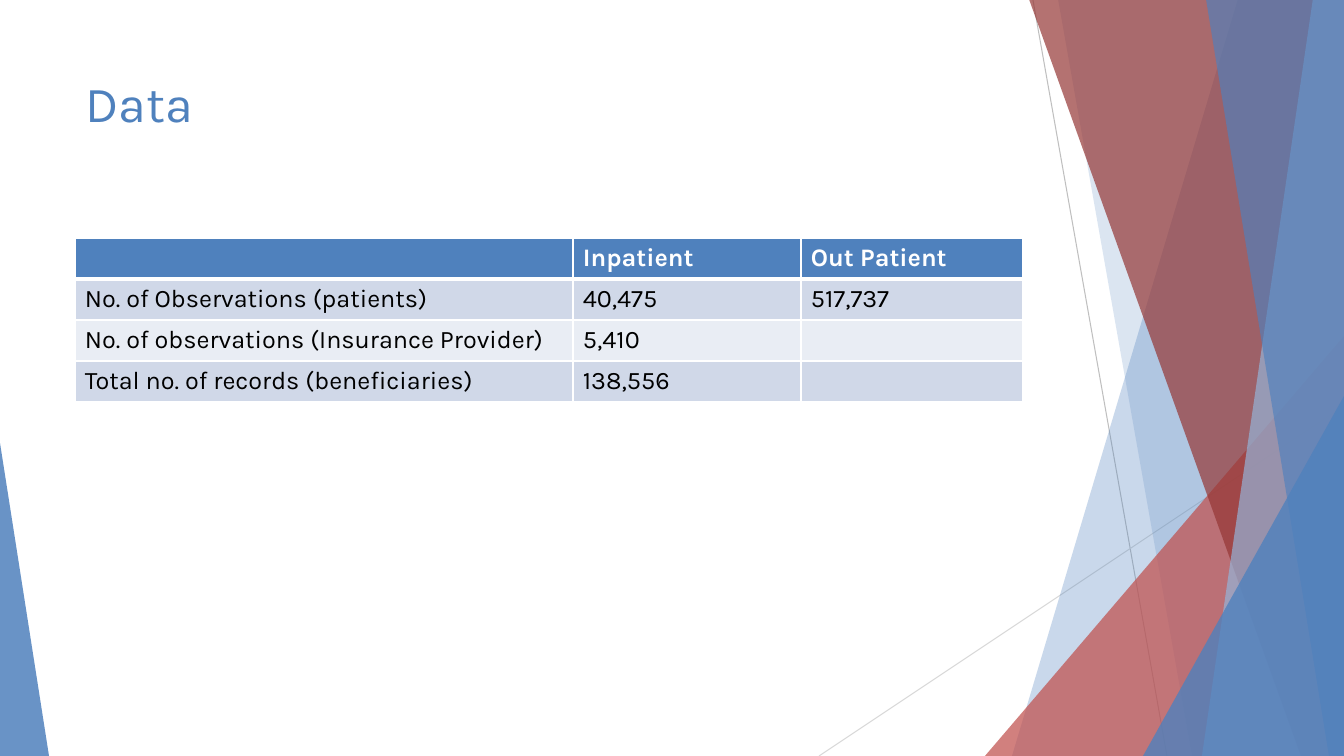
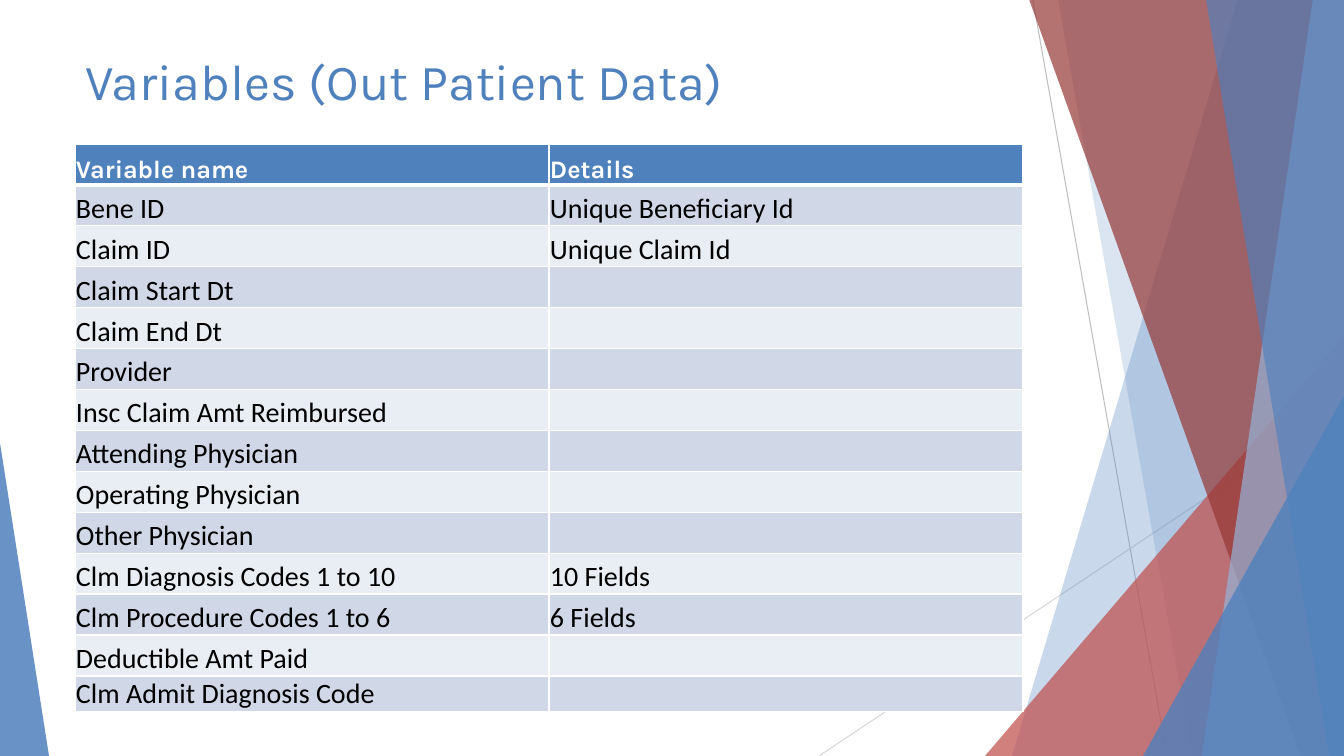
from lxml import etree
from pptx import Presentation
from pptx.dml.color import RGBColor
from pptx.enum.shapes import MSO_CONNECTOR, MSO_SHAPE
from pptx.enum.text import MSO_ANCHOR, MSO_AUTO_SIZE, PP_ALIGN
from pptx.oxml.ns import qn
from pptx.util import Pt

STRAIGHT = MSO_CONNECTOR.STRAIGHT
TRIANGLE = MSO_SHAPE.ISOSCELES_TRIANGLE
TOP, BOTTOM = MSO_ANCHOR.TOP, MSO_ANCHOR.BOTTOM
NO_FIT = MSO_AUTO_SIZE.NONE
LEFT = PP_ALIGN.LEFT

SCALE = 914400 / 100.8
WIDTH, HEIGHT = 1344, 756
TITLE_ONLY = 5
FONT = "Karla"
COLORS = {
    "blue": "4F81BD",
    "pale_blue": "95B3D7",
    "red": "C0504D",
    "dark_red": "953735",
    "gray": "BFBFBF",
    "light_gray": "D9D9D9",
    "band_dark": "D0D8E8",
    "band_light": "E9EDF4",
    "white": "FFFFFF",
    "black": "000000",
}


def px(length):
    return round(length * SCALE)


def color(name):
    return RGBColor.from_string(COLORS[name])


def set_font(para, name, size, tint, bold=False):
    para.font.name = name
    para.font.size = Pt(size)
    para.font.bold = bold
    para.font.color.rgb = color(tint)


def paint(shape, tint, opacity):
    shape.shadow.inherit = False
    shape.fill.solid()
    shape.fill.fore_color.rgb = color(tint)
    shape.line.fill.background()
    fill_color = shape._element.spPr.find(qn("a:solidFill")).find(qn("a:srgbClr"))
    etree.SubElement(fill_color, qn("a:alpha")).set("val", str(opacity * 1000))
    return shape


def add_thin_line(page, start, end, tint):
    line = page.shapes.add_connector(STRAIGHT, *map(px, start + end))
    line.line.color.rgb = color(tint)
    line.line.width = Pt(0.75)
    etree.SubElement(line._element.spPr, qn("a:effectLst"))
    return line


def add_right_band(page, top_x, bottom_x, tint, opacity):
    outline = page.shapes.build_freeform(top_x, -1, scale=SCALE)
    outline.add_line_segments([(WIDTH, -1), (WIDTH, HEIGHT), (bottom_x, HEIGHT)])
    return paint(outline.convert_to_shape(), tint, opacity)


def add_corner(page, box, apex, tint, opacity):
    corner = page.shapes.add_shape(TRIANGLE, *map(px, box))
    corner.adjustments[0] = apex
    return paint(corner, tint, opacity)


def decorate_layout(layout, page):
    for placeholder in list(layout.placeholders):
        if placeholder.placeholder_format.idx != 0:
            placeholder._element.getparent().remove(placeholder._element)
    parts = [
        add_thin_line(page, (1033, 0), (1167, HEIGHT), "gray"),
        add_thin_line(page, (WIDTH, 406), (819, HEIGHT), "light_gray"),
        add_right_band(page, 1238, 1012, "blue", 30),
        add_right_band(page, 1058, 1192, "blue", 20),
        add_corner(page, (985, 336, 359, 420), 1, "red", 72),
        add_right_band(page, 1029, 1301, "dark_red", 70),
        add_right_band(page, 1313, 1202, "pale_blue", 70),
        add_right_band(page, 1206, 1329, "blue", 65),
        add_corner(page, (1143, 396, 201, 360), 1, "blue", 80),
        add_corner(page, (0, 443, 49, 313), 0, "blue", 85),
    ]
    for part in parts:
        layout.shapes._spTree.append(part._element)


def set_title(page, text, box):
    title = page.shapes.title
    title.left, title.top, title.width, title.height = map(px, box)
    frame = title.text_frame
    frame.text = text
    frame.word_wrap = True
    frame.auto_size = NO_FIT
    frame.vertical_anchor = TOP
    para = frame.paragraphs[0]
    para.alignment = LEFT
    set_font(para, FONT, 36, "blue")


def set_borders(cell, row):
    widths = {"lnL": 1, "lnR": 1, "lnT": 3 if row == 1 else 1, "lnB": 3 if row == 0 else 1}
    properties = cell._tc.get_or_add_tcPr()
    for position, (side, width) in enumerate(widths.items()):
        border = etree.Element(qn(f"a:{side}"), w=str(Pt(width)))
        fill = etree.SubElement(border, qn("a:solidFill"))
        etree.SubElement(fill, qn("a:srgbClr")).set("val", COLORS["white"])
        properties.insert(position, border)


def add_data_table(page, box, widths, rows, last_height, body_font, margins, anchor):
    frame = page.shapes.add_table(len(rows), len(widths), *map(px, box))
    table = frame.table
    table.horz_banding = False
    for column, width in zip(table.columns, widths):
        column.width = px(width)
    row_height = (box[3] - last_height) / (len(rows) - 1)
    for index, values in enumerate(rows):
        is_last = index == len(rows) - 1
        table.rows[index].height = px(last_height if is_last else row_height)
        band = "blue" if index == 0 else ("band_light", "band_dark")[index % 2]
        for column, cell in enumerate(table.rows[index].cells):
            cell.margin_left, cell.margin_top, cell.margin_right, cell.margin_bottom = map(px, margins)
            cell.vertical_anchor = anchor
            cell.fill.solid()
            cell.fill.fore_color.rgb = color(band)
            set_borders(cell, index)
            if column < len(values) and values[column]:
                cell.text = values[column]
            para = cell.text_frame.paragraphs[0]
            if index == 0:
                set_font(para, FONT, 18, "white", bold=True)
            else:
                set_font(para, *body_font, "black")


def build_data_page(page):
    set_title(page, "Data", (75, 67, 948, 145))
    rows = [
        ("", "Inpatient", "Out Patient"),
        ("No. of Observations (patients)", "40,475", "517,737"),
        ("No. of observations (Insurance Provider)", "5,410"),
        ("Total no. of records (beneficiaries)", "138,556"),
    ]
    add_data_table(page, (75, 238, 948, 164), (498, 228, 222), rows, 41,
                   (FONT, 18), (10, 5, 10, 5), TOP)


def build_variables_page(page):
    set_title(page, "Variables (Out Patient Data)", (75, 45, 948, 81))
    rows = [
        ("Variable name", "Details"),
        ("Bene ID", "Unique Beneficiary Id"),
        ("Claim ID", "Unique Claim Id"),
        ("Claim Start Dt",),
        ("Claim End Dt",),
        ("Provider",),
        ("Insc Claim Amt Reimbursed",),
        ("Attending Physician",),
        ("Operating Physician",),
        ("Other Physician",),
        ("Clm Diagnosis Codes 1 to 10", "10 Fields"),
        ("Clm Procedure Codes 1 to 6", "6 Fields"),
        ("Deductible Amt Paid",),
        ("Clm Admit Diagnosis Code",),
    ]
    add_data_table(page, (75, 144, 948, 567), (474, 474), rows, 35,
                   ("Calibri", 20), (1, 1, 1, 0), BOTTOM)


deck = Presentation()
deck.slide_width, deck.slide_height = px(WIDTH), px(HEIGHT)
title_layout = deck.slide_layouts[TITLE_ONLY]
data_page = deck.slides.add_slide(title_layout)
decorate_layout(title_layout, data_page)
build_data_page(data_page)
build_variables_page(deck.slides.add_slide(title_layout))
deck.save("out.pptx")
